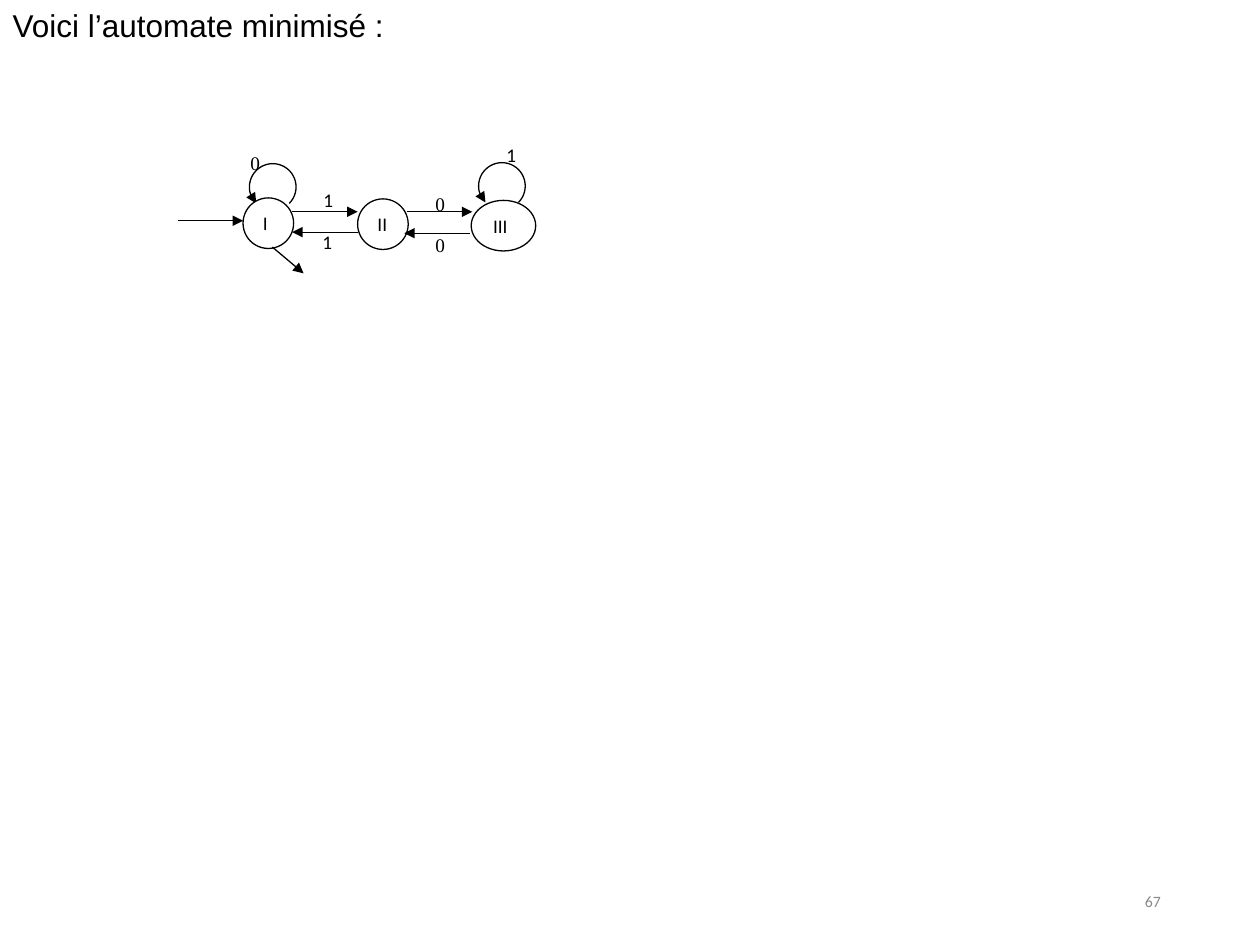
from lxml.etree import SubElement
from pptx import Presentation
from pptx.dml.color import RGBColor
from pptx.enum.shapes import MSO_CONNECTOR, MSO_SHAPE
from pptx.enum.text import MSO_ANCHOR as ANCHOR, PP_ALIGN as ALIGN
from pptx.oxml.ns import qn
from pptx.util import Cm, Pt

BLACK, WHITE, GREY = "000000", "FFFFFF", "898989"
SANS, SERIF = "Calibri", "Times New Roman"

# All lengths are in cm; the automaton's parts are relative to its box.
STATE_H, LOOP_SIZE, LABEL_SIZE = 1.02, 0.94, 0.71
STATES = [("I", 1.32, 1.22, 1.02), ("II", 3.63, 1.24, 1.02), ("III", 5.92, 1.27, 1.3)]
LOOPS = [(1.45, 0.53), (6.07, 0.51)]
ARROWS = [
    (0, 1.68, 1.32, 1.68),        # entry
    (2.31, 1.5, 3.63, 1.5),       # I to II
    (3.63, 1.91, 2.31, 1.91),     # II to I
    (4.62, 1.5, 5.94, 1.5),       # II to III
    (5.89, 1.93, 4.57, 1.93),     # III to II
    (1.91, 2.21, 2.54, 2.74),     # exit
]
LABELS = [
    ("0", SERIF, 1.22, 0.15), ("1", SANS, 6.38, 0),
    ("1", SANS, 2.69, 0.91), ("1", SANS, 2.67, 1.75),
    ("0", SERIF, 4.95, 0.99), ("0", SERIF, 4.95, 1.8),
]


def color(value):
    return RGBColor.from_string(value)


def set_text(s, text, font, size, ink=BLACK, align=ALIGN.LEFT, anchor=ANCHOR.TOP):
    tf = s.text_frame
    tf.word_wrap = True
    tf.vertical_anchor = anchor
    tf.text = text
    p = tf.paragraphs[0]
    p.alignment = align
    r = p.runs[0]
    r.font.name, r.font.size = font, Pt(size)
    r.font.color.rgb = color(ink)


def set_line(s, arrow_end=None):
    """Draw a thin black line; arrow_end is "headEnd" or "tailEnd"."""
    s.line.color.rgb = color(BLACK)
    s.line.width = Pt(0.75)
    if arrow_end:
        SubElement(s.line._get_or_add_ln(), qn("a:" + arrow_end), type="triangle")


def add_title(slide, x, y, w, h):
    s = slide.shapes.title
    s.left, s.top, s.width, s.height = Cm(x), Cm(y), Cm(w), Cm(h)
    set_text(s, "Voici l’automate minimisé :", "Arial", 18)


def add_state(slide, name, x, y, w):
    s = slide.shapes.add_shape(MSO_SHAPE.OVAL, Cm(x), Cm(y), Cm(w), Cm(STATE_H))
    s.shadow.inherit = False
    s.fill.solid()
    s.fill.fore_color.rgb = color(WHITE)
    set_line(s)
    set_text(s, name, SANS, 11)


def add_loop(slide, x, y):
    s = slide.shapes.add_shape(MSO_SHAPE.ARC, Cm(x), Cm(y), Cm(LOOP_SIZE), Cm(LOOP_SIZE))
    s.shadow.inherit = False
    s.fill.background()
    for i, degrees in enumerate((135, 45)):
        s.adjustments[i] = degrees * 0.6
    set_line(s, "headEnd")


def add_arrow(slide, x1, y1, x2, y2):
    s = slide.shapes.add_connector(MSO_CONNECTOR.STRAIGHT, Cm(x1), Cm(y1), Cm(x2), Cm(y2))
    set_line(s, "tailEnd")
    SubElement(s._element.spPr, qn("a:effectLst"))


def add_label(slide, text, font, x, y):
    s = slide.shapes.add_textbox(Cm(x), Cm(y), Cm(LABEL_SIZE), Cm(LABEL_SIZE))
    set_text(s, text, font, 11)


def add_automaton(slide, x, y):
    for dx, dy in LOOPS:
        add_loop(slide, x + dx, y + dy)
    for name, dx, dy, w in STATES:
        add_state(slide, name, x + dx, y + dy, w)
    for x1, y1, x2, y2 in ARROWS:
        add_arrow(slide, x + x1, y + y1, x + x2, y + y2)
    for text, font, dx, dy in LABELS:
        add_label(slide, text, font, x + dx, y + dy)


def add_page_number(slide, x, y, w, h):
    s = slide.shapes.add_textbox(Cm(x), Cm(y), Cm(w), Cm(h))
    set_text(s, "67", SANS, 9, GREY, ALIGN.RIGHT, ANCHOR.MIDDLE)


def main():
    prs = Presentation()
    prs.slide_width, prs.slide_height = Cm(25.4), Cm(19.05)
    slide = prs.slides.add_slide(prs.slide_layouts[5])
    add_title(slide, 0, 0, 16.74, 1.02)
    add_automaton(slide, 3.58, 2.77)
    add_page_number(slide, 17.93, 17.65, 5.72, 1.02)
    prs.save("out.pptx")


if __name__ == "__main__":
    main()
